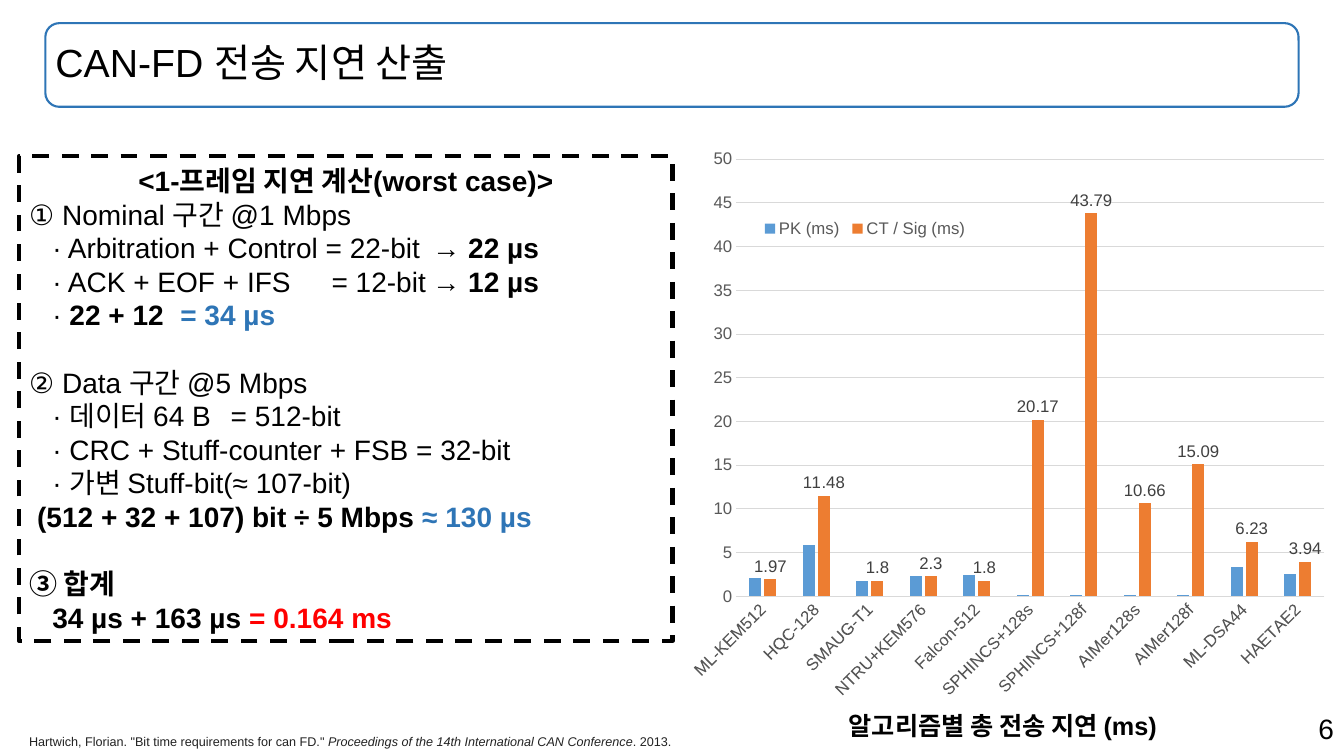
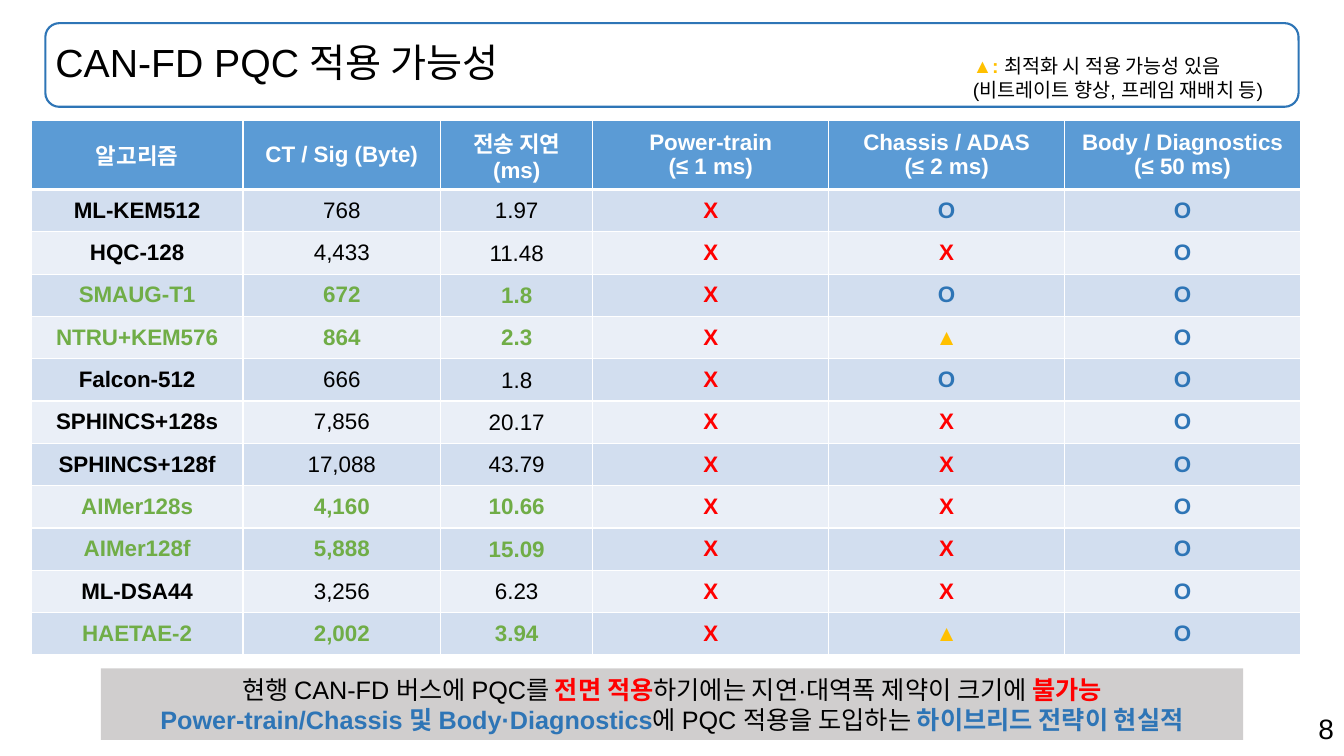
from lxml import etree
from pptx import Presentation
from pptx.chart.data import CategoryChartData
from pptx.dml.color import RGBColor
from pptx.enum.chart import XL_CHART_TYPE, XL_LABEL_POSITION, XL_LEGEND_POSITION, XL_TICK_MARK
from pptx.enum.dml import MSO_LINE
from pptx.enum.shapes import MSO_SHAPE
from pptx.enum.text import MSO_ANCHOR, PP_ALIGN
from pptx.oxml import parse_xml
from pptx.oxml.ns import nsdecls, qn
from pptx.util import Inches, Pt

FONT = "Arial"
BLACK, WHITE, BLUE, RED = "000000", "FFFFFF", "2E75B6", "FF0000"
GREEN, AMBER, GREY = "70AD47", "FFC000", "595959"
HEADER_FILL, BAND_FILLS = "5B9BD5", ("D2DEEF", "EAEFF7")
LEFT, CENTER, RIGHT = PP_ALIGN.LEFT, PP_ALIGN.CENTER, PP_ALIGN.RIGHT


def color(hex_code):
    return RGBColor.from_string(hex_code)


def add_text(frame, runs, size, hex_code=BLACK, bold=False, align=LEFT, indent=0, tabs=()):
    """Append a paragraph; a run is (text, colour, bold), later items optional."""
    paragraph = frame.paragraphs[0]
    if paragraph.runs:
        paragraph = frame.add_paragraph()
    paragraph.alignment = align
    properties = paragraph._p.get_or_add_pPr()
    if indent:
        properties.set("marL", "0")
        properties.set("indent", str(Inches(indent)))
    if tabs:
        tab_list = etree.SubElement(properties, qn("a:tabLst"))
        for position in tabs:
            etree.SubElement(tab_list, qn("a:tab"), pos=str(Inches(position)), algn="l")
    font = paragraph.font
    font.name, font.size, font.bold = FONT, Pt(size), bold
    font.color.rgb = color(hex_code)
    for text, *style in runs:
        run = paragraph.add_run()
        run.text = text
        if style:
            run.font.color.rgb = color(style[0])
        if len(style) > 1:
            run.font.bold = style[1]
    return paragraph


presentation = Presentation()
presentation.slide_width, presentation.slide_height = Inches(13.33), Inches(7.5)

# Title frame and slide number on both slides
slides = []
for title, number in (("CAN-FD 전송 지연 산출", "6"), ("CAN-FD PQC 적용 가능성", "8")):
    slide = presentation.slides.add_slide(presentation.slide_layouts[6])
    slides.append(slide)
    title_frame = slide.shapes.add_shape(
        MSO_SHAPE.ROUNDED_RECTANGLE, Inches(0.45), Inches(0.23), Inches(12.43), Inches(0.83))
    title_frame.shadow.inherit = False
    title_frame.fill.background()
    title_frame.line.color.rgb = color(BLUE)
    title_frame.line.width = Pt(1.5)
    title_frame.text_frame.margin_left = Inches(0.06)
    title_frame.text_frame.vertical_anchor = MSO_ANCHOR.MIDDLE
    add_text(title_frame.text_frame, [(title,)], 28).line_spacing = 0.9
    number_box = slide.shapes.add_textbox(Inches(9.43), Inches(7.01), Inches(3.9), Inches(0.44))
    number_box.text_frame.word_wrap = True
    add_text(number_box.text_frame, [(number,)], 20, align=RIGHT)
delay_slide, fit_slide = slides

# Delay chart
chart_data = CategoryChartData()
chart_data.categories = [
    "ML-KEM512", "HQC-128", "SMAUG-T1", "NTRU+KEM576", "Falcon-512", "SPHINCS+128s",
    "SPHINCS+128f", "AIMer128s", "AIMer128f", "ML-DSA44", "HAETAE2"]
chart_data.add_series("PK (ms)", [2.1, 5.9, 1.8, 2.3, 2.4, 0.2, 0.2, 0.2, 0.2, 3.4, 2.6])
chart_data.add_series(
    "CT / Sig (ms)", [1.97, 11.48, 1.8, 2.3, 1.8, 20.17, 43.79, 10.66, 15.09, 6.23, 3.94])
chart = delay_slide.shapes.add_chart(
    XL_CHART_TYPE.COLUMN_CLUSTERED, Inches(6.85), Inches(1.3), Inches(6.48), Inches(6.06),
    chart_data).chart
chart.has_title = False
chart.font.name, chart.font.size = FONT, Pt(12)
chart.font.color.rgb = color(GREY)

plot = chart.plots[0]
plot.vary_by_categories = False
plot.gap_width, plot.overlap = 219, -27
for series, fill in zip(plot.series, (HEADER_FILL, "ED7D31")):
    series.format.fill.solid()
    series.format.fill.fore_color.rgb = color(fill)
labels = plot.series[1].data_labels
labels.show_value = True
labels.position = XL_LABEL_POSITION.OUTSIDE_END
labels.font.name, labels.font.size = FONT, Pt(12)
labels.font.color.rgb = color("404040")

category_axis, value_axis = chart.category_axis, chart.value_axis
for axis in (category_axis, value_axis):
    axis.major_tick_mark = axis.minor_tick_mark = XL_TICK_MARK.NONE
    axis.tick_labels.font.name, axis.tick_labels.font.size = FONT, Pt(12)
    axis.tick_labels.font.color.rgb = color(GREY)
category_axis._element.find(qn("c:txPr")).find(qn("a:bodyPr")).set("rot", "-2700000")
value_axis.minimum_scale, value_axis.maximum_scale, value_axis.major_unit = 0, 50, 5
value_axis.format.line.fill.background()
for line in (category_axis.format.line, value_axis.major_gridlines.format.line):
    line.color.rgb = color("D9D9D9")
    line.width = Pt(0.75)

chart.has_legend = True
chart.legend.position = XL_LEGEND_POSITION.BOTTOM
chart.legend.include_in_layout = False

# Fixed places for the plot area and the legend
plot_area = chart._chartSpace.chart.plotArea
for old_layout in plot_area.findall(qn("c:layout")):
    plot_area.remove(old_layout)
legend_element = chart.legend._element
for old_layout in legend_element.findall(qn("c:layout")):
    legend_element.remove(old_layout)
for parent, index, target, place in (
        (plot_area, 0, '<c:layoutTarget val="inner"/>', (0.067, 0.046, 0.903, 0.716)),
        (legend_element, 1, "", (0.1, 0.13, 0.33, 0.06))):
    modes = '<c:xMode val="edge"/><c:yMode val="edge"/>'
    sizes = "".join(f'<c:{key} val="{value}"/>' for key, value in zip("xywh", place))
    parent.insert(index, parse_xml(
        f'<c:layout {nsdecls("c")}><c:manualLayout>{target}{modes}{sizes}'
        "</c:manualLayout></c:layout>"))

# Frame delay calculation: indent, tab stops, space before, runs
calculation = delay_slide.shapes.add_shape(
    MSO_SHAPE.RECTANGLE, Inches(0.19), Inches(1.55), Inches(6.48), Inches(4.81))
calculation.shadow.inherit = False
calculation.fill.background()
calculation.line.color.rgb = color(BLACK)
calculation.line.width = Pt(3)
calculation.line.dash_style = MSO_LINE.DASH
frame = calculation.text_frame
frame.word_wrap = True
frame.vertical_anchor = MSO_ANCHOR.MIDDLE
heading = add_text(frame, [("<1-프레임 지연 계산(worst case)>",)], 20, bold=True, align=CENTER)
heading.line_spacing = Pt(24)
calculation_lines = [
    (0, (), 0, [("① Nominal 구간 @1 Mbps",)]),
    (0.23, (4.08,), 0, [("· Arbitration + Control = 22-bit\t",), ("→ 22 µs", BLACK, True)]),
    (0.23, (2.98, 4.12), 0, [("· ACK + EOF + IFS\t= 12-bit\t",), ("→ 12 µs", BLACK, True)]),
    (0.23, (1.49,), 0, [("· ",), ("22 + 12\t", BLACK, True), ("= 34 µs", BLUE, True)]),
    (0, (), 24, [("② Data 구간 @5 Mbps",)]),
    (0.23, (2.14,), 0, [("· 데이터 64 B\t= 512-bit",)]),
    (0.23, (), 0, [("· CRC + Stuff-counter + FSB = 32-bit",)]),
    (0.23, (), 0, [("· 가변 Stuff-bit(≈ 107-bit)",)]),
    (0.08, (), 0, [("(512 + 32 + 107) bit ÷ 5 Mbps ", BLACK, True), ("≈ 130 µs", BLUE, True)]),
    (0, (), 24, [("③ 합계", BLACK, True)]),
    (0.23, (), 0, [("34 µs + 163 µs ", BLACK, True), ("= 0.164 ms", RED, True)]),
]
for indent, tabs, space, runs in calculation_lines:
    paragraph = add_text(frame, runs, 20, indent=indent, tabs=tabs)
    paragraph.line_spacing = Pt(24)
    paragraph.space_before = Pt(space)

# Citation and chart caption
citation = delay_slide.shapes.add_textbox(Inches(0.19), Inches(7.23), Inches(12.88), Inches(0.25))
citation.text_frame.word_wrap = True
paragraph = add_text(citation.text_frame, [
    ('Hartwich, Florian. "Bit time requirements for can FD." ',),
    ("Proceedings of the 14th International CAN Conference",), (". 2013.",)], 9, "222222")
paragraph.runs[1].font.italic = True
caption = delay_slide.shapes.add_textbox(Inches(8.32), Inches(7), Inches(3.54), Inches(0.4))
caption.text_frame.word_wrap = True
add_text(caption.text_frame, [("알고리즘별 총 전송 지연 (ms)",)], 18, bold=True)

# Suitability table: name, bytes, delay, marks for the three domains, highlighted
headers = ["알고리즘", "CT / Sig (Byte)", "전송 지연\n(ms)", "Power-train\n(≤ 1 ms)",
           "Chassis / ADAS\n(≤ 2 ms)", "Body / Diagnostics\n(≤ 50 ms)"]
algorithms = [
    ("ML-KEM512", "768", "1.97", "XOO", False),
    ("HQC-128", "4,433", "11.48", "XXO", False),
    ("SMAUG-T1", "672", "1.8", "XOO", True),
    ("NTRU+KEM576", "864", "2.3", "X▲O", True),
    ("Falcon-512", "666", "1.8", "XOO", False),
    ("SPHINCS+128s", "7,856", "20.17", "XXO", False),
    ("SPHINCS+128f", "17,088", "43.79", "XXO", False),
    ("AIMer128s", "4,160", "10.66", "XXO", True),
    ("AIMer128f", "5,888", "15.09", "XXO", True),
    ("ML-DSA44", "3,256", "6.23", "XXO", False),
    ("HAETAE-2", "2,002", "3.94", "X▲O", True),
]
mark_colors = {"X": RED, "O": BLUE, "▲": AMBER}
rows = [[(text, WHITE, True) for text in headers]]
for name, size, delay, marks, highlighted in algorithms:
    text_color = GREEN if highlighted else BLACK
    rows.append([(name, text_color, True), (size, text_color, highlighted),
                 (delay, text_color, highlighted)]
                + [(mark, mark_colors[mark], True) for mark in marks])

table = fit_slide.shapes.add_table(
    len(rows), len(headers), Inches(0.31), Inches(1.19), Inches(12.57), Inches(5.31)).table
for column, width in zip(table.columns, (2.1, 1.96, 1.51, 2.34, 2.34, 2.34)):
    column.width = Inches(width)
for row_index, row in enumerate(rows):
    table.rows[row_index].height = Inches(0.42 if row_index else 0.69)
    fill = BAND_FILLS[(row_index - 1) % 2] if row_index else HEADER_FILL
    for column_index, (text, text_color, bold) in enumerate(row):
        cell = table.cell(row_index, column_index)
        cell.vertical_anchor = MSO_ANCHOR.MIDDLE
        if row_index and column_index == 2:
            cell.margin_left = cell.margin_right = cell.margin_top = Inches(0.01)
            cell.margin_bottom = 0
        for line_text in text.split("\n"):
            add_text(cell.text_frame, [(line_text,)], 16, text_color, bold, CENTER)
        # White borders, thicker around the header's lower edge
        cell_properties = cell._tc.get_or_add_tcPr()
        for side in "LRTB":
            thick = (row_index, side) in ((0, "B"), (1, "T"))
            cell_properties.append(parse_xml(
                f'<a:ln{side} {nsdecls("a")} w="{Pt(3 if thick else 1)}"><a:solidFill>'
                f'<a:srgbClr val="{WHITE}"/></a:solidFill></a:ln{side}>'))
        cell.fill.solid()
        cell.fill.fore_color.rgb = color(fill)

# Key to the triangle mark
key = fit_slide.shapes.add_textbox(Inches(9.55), Inches(0.49), Inches(3.33), Inches(0.57))
key.text_frame.word_wrap = True
add_text(key.text_frame, [("▲: ", AMBER, True), ("최적화 시 적용 가능성 있음",)], 14)
add_text(key.text_frame, [("(비트레이트 향상, 프레임 재배치 등)",)], 14)

# Conclusion band
conclusion = fit_slide.shapes.add_shape(
    MSO_SHAPE.RECTANGLE, Inches(1), Inches(6.63), Inches(11.33), Inches(0.71))
conclusion.shadow.inherit = False
conclusion.fill.solid()
conclusion.fill.fore_color.rgb = color("D0CECE")
conclusion.line.fill.background()
conclusion.text_frame.word_wrap = True
conclusion.text_frame.vertical_anchor = MSO_ANCHOR.MIDDLE
for runs in (
        [("현행 CAN-FD 버스에 PQC를 ",), ("전면 적용", RED, True),
         ("하기에는 지연·대역폭 제약이 크기에 ",), ("불가능", RED, True)],
        [("Power-train/Chassis 및 Body·Diagnostics", BLUE, True),
         ("에 PQC 적용을 도입하는 ",), ("하이브리드 전략이 현실적", BLUE, True)]):
    add_text(conclusion.text_frame, runs, 18, align=CENTER)

presentation.save("out.pptx")
